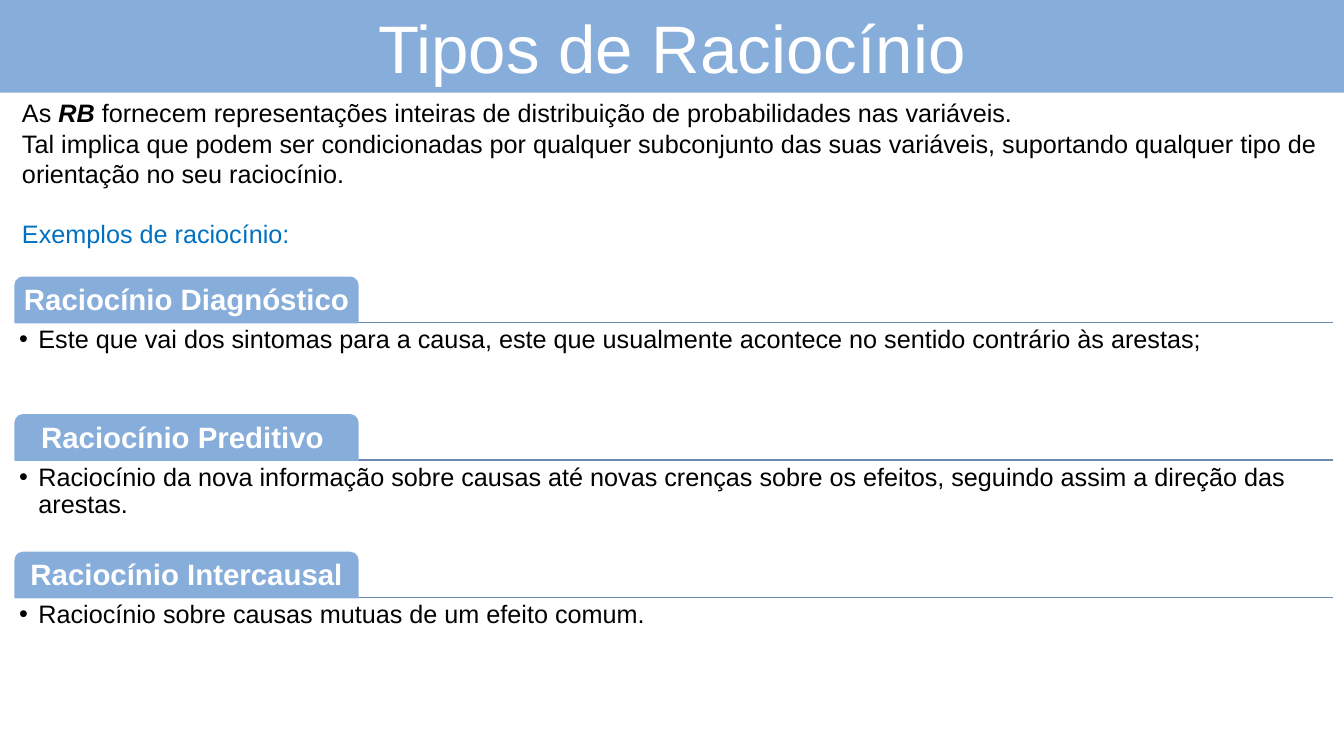
from dataclasses import dataclass

from lxml.etree import SubElement
from pptx import Presentation
from pptx.dml.color import RGBColor
from pptx.enum.shapes import MSO_CONNECTOR as Connector, MSO_SHAPE as Preset
from pptx.enum.text import MSO_ANCHOR as Anchor, MSO_AUTO_SIZE as AutoSize, PP_ALIGN as Align
from pptx.oxml.ns import qn
from pptx.util import Inches, Pt

BLUE = RGBColor(0x87, 0xAD, 0xDB)
RULE_BLUE = RGBColor(0x6C, 0x8B, 0xAF)
HEADING_BLUE = RGBColor(0x00, 0x70, 0xC0)
WHITE = RGBColor(0xFF, 0xFF, 0xFF)
BLACK = RGBColor(0, 0, 0)
FONT = "Arial"

SLIDE_WIDTH, SLIDE_HEIGHT = Inches(13.33), Inches(7.5)
COLUMN, ROW = SLIDE_WIDTH / 100, SLIDE_HEIGHT / 100

TITLE_ROWS = 12.27
LEFT, CONTENT_COLUMNS = 1.13, 98.05
TAB_COLUMNS, TAB_ROWS = 25.5, 6
FIRST_TAB_ROW, PITCH = 36.67, 18.2
BODY_ROWS = 11.87


@dataclass(frozen=True)
class Reasoning:
    name: str
    description: str


REASONINGS = (
    Reasoning("Raciocínio Diagnóstico ",
              "Este que vai dos sintomas para a causa, este que usualmente acontece "
              "no sentido contrário às arestas;"),
    Reasoning("Raciocínio Preditivo ",
              "Raciocínio da nova informação sobre causas até novas crenças sobre os efeitos, "
              "seguindo assim a direção das arestas."),
    Reasoning("Raciocínio Intercausal",
              "Raciocínio sobre causas mutuas de um efeito comum."),
)


def area(left: float, top: float, width: float, height: float) -> tuple[int, ...]:
    return (round(left * COLUMN), round(top * ROW),
            round(width * COLUMN), round(height * ROW))


def format_runs(paragraph, size: float, color: RGBColor, bold: bool = False) -> None:
    for run in paragraph.runs:
        run.font.name = FONT
        run.font.size = Pt(size)
        run.font.color.rgb = color
        run.font.bold = bold


def set_margins(text_frame) -> None:
    text_frame.margin_left = text_frame.margin_right = Inches(0.04)
    text_frame.margin_top = text_frame.margin_bottom = Inches(0.04)


def add_bullet(paragraph) -> None:
    properties = paragraph._p.get_or_add_pPr()
    properties.set("marL", str(Inches(0.19)))
    properties.set("indent", str(-Inches(0.19)))
    SubElement(properties, qn("a:buFont")).set("typeface", FONT)
    SubElement(properties, qn("a:buChar")).set("char", "•")


def format_title(slide) -> None:
    title = slide.shapes.title
    title.left, title.top, title.width, title.height = area(0, 0, 100, TITLE_ROWS)
    title.fill.solid()
    title.fill.fore_color.rgb = BLUE
    text_frame = title.text_frame
    text_frame.text = "Tipos de Raciocínio"
    text_frame.auto_size = AutoSize.NONE
    text_frame.vertical_anchor = Anchor.MIDDLE
    text_frame.paragraphs[0].alignment = Align.CENTER
    format_runs(text_frame.paragraphs[0], 48, WHITE)


def add_introduction(slide) -> None:
    text_frame = slide.shapes.add_textbox(*area(0.9, TITLE_ROWS, CONTENT_COLUMNS, 21.6)).text_frame
    text_frame.word_wrap = True
    opening = text_frame.paragraphs[0]
    for text in ("As ", "RB ", "fornecem representações inteiras de distribuição "
                 "de probabilidades nas variáveis."):
        opening.add_run().text = text
    implication = text_frame.add_paragraph()
    implication.text = ("Tal implica que podem ser condicionadas por qualquer subconjunto das suas "
                        "variáveis, suportando qualquer tipo de orientação no seu raciocínio.")
    heading = text_frame.add_paragraph()
    heading.text = "Exemplos de raciocínio:"
    heading.space_before = Pt(21)
    for paragraph, color in ((opening, BLACK), (implication, BLACK), (heading, HEADING_BLUE)):
        format_runs(paragraph, 18, color)
    emphasis = opening.runs[1].font
    emphasis.bold = emphasis.italic = True


def add_rule(slide, row: float) -> None:
    left, top, width, _ = area(LEFT, row, CONTENT_COLUMNS, 0)
    rule = slide.shapes.add_connector(Connector.STRAIGHT, left, top, left + width, top)
    rule.line.color.rgb = RULE_BLUE
    rule.line.width = Pt(1)
    SubElement(rule._element.spPr, qn("a:effectLst"))


def add_tab(slide, name: str, row: float) -> None:
    tab = slide.shapes.add_shape(Preset.ROUND_2_SAME_RECTANGLE,
                                 *area(LEFT, row, TAB_COLUMNS, TAB_ROWS))
    tab.adjustments[0], tab.adjustments[1] = 0.17, 0
    tab.shadow.inherit = False
    tab.fill.solid()
    tab.fill.fore_color.rgb = BLUE
    tab.line.color.rgb = BLUE
    tab.line.width = Pt(1)
    text_frame = tab.text_frame
    text_frame.text = name
    text_frame.word_wrap = True
    text_frame.vertical_anchor = Anchor.MIDDLE
    set_margins(text_frame)
    paragraph = text_frame.paragraphs[0]
    paragraph.alignment = Align.CENTER
    paragraph.line_spacing = 0.9
    format_runs(paragraph, 21, WHITE, bold=True)


def add_description(slide, description: str, row: float) -> None:
    text_frame = slide.shapes.add_textbox(*area(LEFT, row, CONTENT_COLUMNS, BODY_ROWS)).text_frame
    text_frame.text = description
    text_frame.word_wrap = True
    set_margins(text_frame)
    paragraph = text_frame.paragraphs[0]
    paragraph.line_spacing = 0.9
    add_bullet(paragraph)
    format_runs(paragraph, 18, BLACK)


def add_reasoning(slide, reasoning: Reasoning, row: float) -> None:
    add_rule(slide, row + TAB_ROWS)
    add_tab(slide, reasoning.name, row)
    add_description(slide, reasoning.description, row + TAB_ROWS)


def main() -> None:
    presentation = Presentation()
    presentation.slide_width, presentation.slide_height = SLIDE_WIDTH, SLIDE_HEIGHT
    slide = presentation.slides.add_slide(presentation.slide_layouts[5])
    format_title(slide)
    add_introduction(slide)
    for index, reasoning in enumerate(REASONINGS):
        add_reasoning(slide, reasoning, FIRST_TAB_ROW + index * PITCH)
    presentation.save("out.pptx")


if __name__ == "__main__":
    main()
